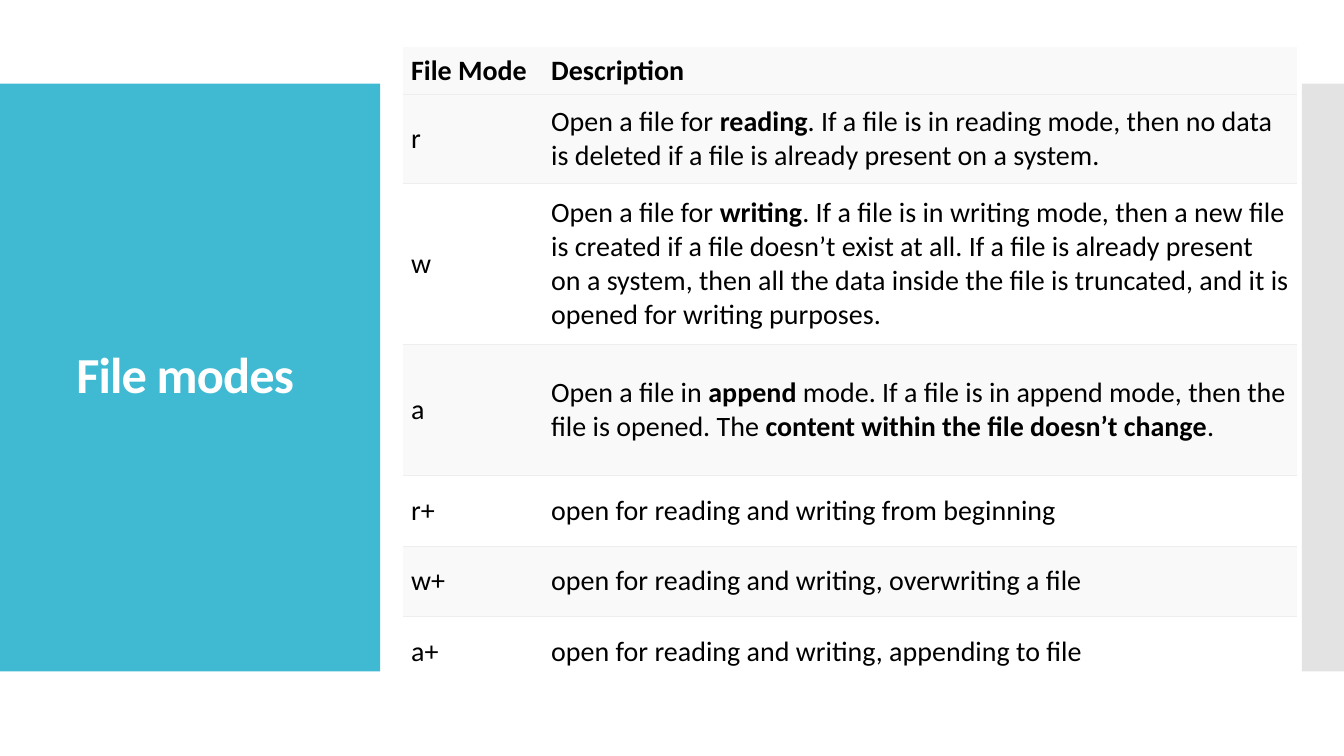
from lxml import etree
from pptx import Presentation
from pptx.dml.color import RGBColor
from pptx.enum.shapes import MSO_SHAPE as Shape
from pptx.enum.text import MSO_ANCHOR as Anchor, PP_ALIGN as Align
from pptx.oxml import parse_xml
from pptx.oxml.ns import nsdecls, qn
from pptx.util import Cm, Pt

NO_STYLE = "{2D5ABB26-0587-4C30-8999-92F81FD0307C}"
MODES = [
    ("*File Mode*", "*Description*", 1.19),
    ("r", "Open a file for *reading*. If a file is in reading mode, then no data "
     "is deleted if a file is already present on a system.", 2.24),
    ("w", "Open a file for *writing*. If a file is in writing mode, then a new file "
     "is created if a file doesn’t exist at all. If a file is already present "
     "on a system, then all the data inside the file is truncated, and it "
     "is opened for writing purposes.", 4.06),
    ("a", "Open a file in *append* mode. If a file is in append mode, then the file "
     "is opened. The *content within the file doesn’t change*.", 3.3),
    ("r+", "open for reading and writing from beginning", 1.78),
    ("w+", "open for reading and writing, overwriting a file", 1.78),
    ("a+", "open for reading and writing, appending to file", 1.78),
]


def rgb(color):
    return RGBColor.from_string(color)


def write(para, text, size=20, color="000000"):
    """Add text to a paragraph, with the parts between asterisks in bold."""
    for index, part in enumerate(text.split("*")):
        if part:
            span = para.add_run()
            span.text = part
            span.font.name = "Calibri"
            span.font.size = Pt(size)
            span.font.bold = index % 2 == 1
            span.font.color.rgb = rgb(color)


deck = Presentation()
deck.slide_width, deck.slide_height = Cm(33.87), Cm(19.05)
page = deck.slides.add_slide(deck.slide_layouts[6])

# Side panels
for left, width, color in [(0, 9.58, "40BAD2"), (32.81, 1.06, "C8C8C8")]:
    panel = page.shapes.add_shape(
        Shape.RECTANGLE, Cm(left), Cm(2.11), Cm(width), Cm(14.81))
    panel.shadow.inherit = False
    panel.line.fill.background()
    panel.fill.solid()
    panel.fill.fore_color.rgb = rgb(color)
# The right panel is half transparent
tint = panel.fill._xPr.find(".//" + qn("a:srgbClr"))
etree.SubElement(tint, qn("a:alpha"), val="50000")

# Title
box = page.shapes.add_textbox(Cm(0.71), Cm(3.12), Cm(8.18), Cm(12.78))
box.text_frame.word_wrap = True
box.text_frame.vertical_anchor = Anchor.MIDDLE
para = box.text_frame.paragraphs[0]
para.alignment = Align.CENTER
para.line_spacing = 0.9
write(para, "*File modes *", size=36, color="FFFFFF")
para.runs[0].font._element.set("spc", "-60")

# Table of modes
frame = page.shapes.add_table(
    len(MODES), 2, Cm(10.16), Cm(1.19), Cm(22.53), Cm(16.13))
table = frame.table
table._tbl.tblPr.find(qn("a:tableStyleId")).text = NO_STYLE
for column, width in zip(table.columns, (3.53, 19)):
    column.width = Cm(width)

last = len(MODES) - 1
for row, (mode, description, height) in enumerate(MODES):
    table.rows[row].height = Cm(height)
    shaded = row == 0 or row % 2 == 1
    edges = [edge for edge, shown in (("lnT", row > 0), ("lnB", row < last)) if shown]
    for column, text in enumerate((mode, description)):
        cell = table.cell(row, column)
        cell.vertical_anchor = Anchor.MIDDLE
        cell.margin_left = cell.margin_right = Cm(0.2)
        cell.margin_top = cell.margin_bottom = Cm(0.1)
        cell.fill.solid()
        cell.fill.fore_color.rgb = rgb("F9F9F9" if shaded else "FFFFFF")
        write(cell.text_frame.paragraphs[0], text)
        for position, edge in enumerate(edges):
            cell._tc.tcPr.insert(position, parse_xml(
                f'<a:{edge} {nsdecls("a")} w="9525"><a:solidFill>'
                f'<a:srgbClr val="EEEEEE"/></a:solidFill></a:{edge}>'))

deck.save("out.pptx")
